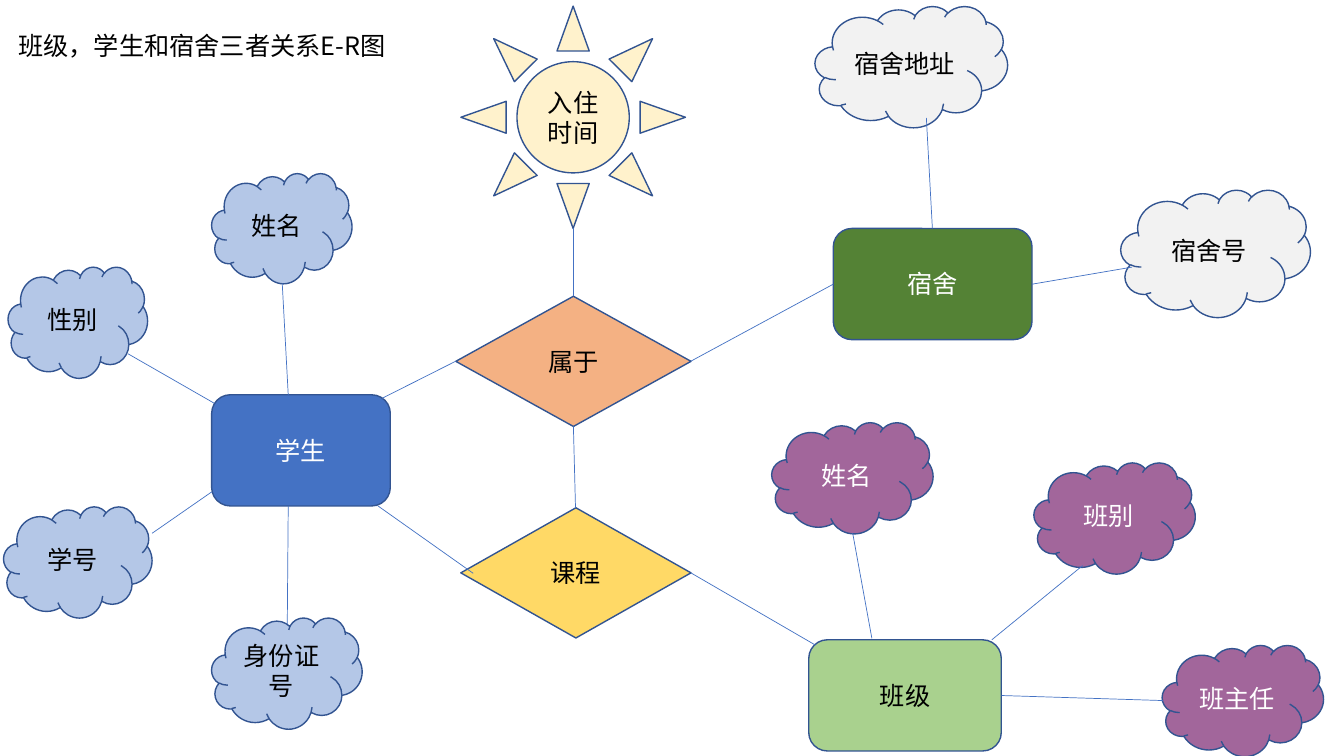
from dataclasses import dataclass

from lxml import etree
from pptx import Presentation
from pptx import util as u
from pptx.dml import color
from pptx.enum import shapes, text
from pptx.oxml import ns


@dataclass(frozen=True)
class Theme:
    """Colours, type and line widths of the diagram."""
    font: str = "Noto Sans CJK SC"
    size: float = 18
    lead: float = 21.4
    dark: str = "000000"
    light: str = "FFFFFF"
    edge: str = "325491"
    link: str = "4472C4"
    pupil: str = "4472C4"
    trait: str = "B4C7E7"
    dorm: str = "548235"
    place: str = "F2F2F2"
    group: str = "A9D18E"
    detail: str = "A2669B"
    belong: str = "F4B183"
    course: str = "FFD966"
    time: str = "FFF2CC"


THEME = Theme()
KIND = shapes.MSO_SHAPE


def rgb(code):
    """Turn a hex code into a colour."""
    return color.RGBColor.from_string(code)


def write(frame, words, ink=THEME.dark, align=text.PP_ALIGN.CENTER,
          anchor=text.MSO_ANCHOR.MIDDLE):
    """Put formatted words into a text frame."""
    frame.word_wrap = True
    frame.auto_size = text.MSO_AUTO_SIZE.NONE
    frame.vertical_anchor = anchor
    para = frame.paragraphs[0]
    para.alignment = align
    para.line_spacing = u.Pt(THEME.lead)
    run = para.add_run()
    run.text = words
    run.font.name = THEME.font
    run.font.size = u.Pt(THEME.size)
    run.font.color.rgb = rgb(ink)
    east = etree.SubElement(run.font._element, ns.qn("a:ea"))
    east.set("typeface", THEME.font)


def head(slide, words, box):
    """Place the title of the diagram."""
    title = slide.shapes.title
    title.left, title.top, title.width, title.height = map(u.Pt, box)
    write(title.text_frame, words, align=text.PP_ALIGN.LEFT,
          anchor=text.MSO_ANCHOR.TOP)


def node(slide, kind, words, box, fill, ink=THEME.dark):
    """Add one labelled shape."""
    shape = slide.shapes.add_shape(kind, *map(u.Pt, box))
    shape.shadow.inherit = False
    shape.fill.solid()
    shape.fill.fore_color.rgb = rgb(fill)
    shape.line.color.rgb = rgb(THEME.edge)
    shape.line.width = u.Pt(1)
    write(shape.text_frame, words, ink=ink)


def link(slide, ends):
    """Join two points with a thin line."""
    line = slide.shapes.add_connector(
        shapes.MSO_CONNECTOR.STRAIGHT, *map(u.Pt, ends))
    line.line.color.rgb = rgb(THEME.link)
    line.line.width = u.Pt(0.5)
    etree.SubElement(line._element.spPr, ns.qn("a:effectLst"))


def clouds(slide, items, fill, ink=THEME.dark):
    """Add the attributes of one entity."""
    for words, box in items:
        node(slide, KIND.CLOUD, words, box, fill, ink)


def main():
    """Build the relation diagram."""
    deck = Presentation()
    deck.slide_width, deck.slide_height = u.Pt(960), u.Pt(540)
    slide = deck.slides.add_slide(deck.slide_layouts[5])
    head(slide, "班级，学生和宿舍三者关系E-R图", (5.8, 18.5, 279.4, 50))

    for words, box, fill, ink in (
            ("学生", (151.2, 282, 127.6, 79.4), THEME.pupil, THEME.light),
            ("宿舍", (595.2, 163.2, 142, 79.4), THEME.dorm, THEME.light),
            ("班级", (577.7, 457, 137.5, 79.4), THEME.group, THEME.dark)):
        node(slide, KIND.ROUNDED_RECTANGLE, words, box, fill, ink)

    node(slide, KIND.DIAMOND, "属于", (325.6, 211.6, 168, 93), THEME.belong)
    node(slide, KIND.DIAMOND, "课程", (329.2, 362.7, 164.4, 93), THEME.course)
    node(slide, KIND.SUN, "入住时间", (329.2, 4.4, 160.4, 158.8), THEME.time)

    clouds(slide, (
        ("姓名", (151.2, 123.8, 100.2, 78.7)),
        ("性别", (5.8, 190.6, 99.6, 79.4)),
        ("学号", (2.6, 361.8, 106, 79.4)),
        ("身份证号", (151.2, 441.2, 107.5, 79.4))), THEME.trait)
    clouds(slide, (
        ("宿舍地址", (582.2, 4.4, 137.5, 86.6)),
        ("宿舍号", (800.6, 135.6, 135.4, 91))), THEME.place)
    clouds(slide, (
        ("姓名", (551.3, 301.7, 115.2, 79.4)),
        ("班别", (738.6, 330.4, 115.2, 79.4)),
        ("班主任", (830.2, 460.8, 115.2, 79.4))), THEME.detail, THEME.light)

    for ends in (
            (91.4, 252.7, 153, 288), (201.6, 202.5, 205.9, 282),
            (108.7, 380.9, 151.2, 351.4), (205.9, 361.4, 205.2, 445.7),
            (409.6, 163.2, 409.6, 211.6), (409.6, 304.6, 411.1, 362.7),
            (273, 284.5, 325.6, 258), (270, 361.4, 338, 409.5),
            (493.5, 258, 595.2, 203), (493.5, 409.2, 582.5, 460.8),
            (666, 163.2, 661.7, 84.2), (737.2, 203, 808.6, 190.8),
            (609.1, 380.9, 622.8, 456), (708.5, 457, 773.3, 404),
            (715.4, 496.8, 830.9, 500.4)):
        link(slide, ends)
    deck.save("out.pptx")


main()
